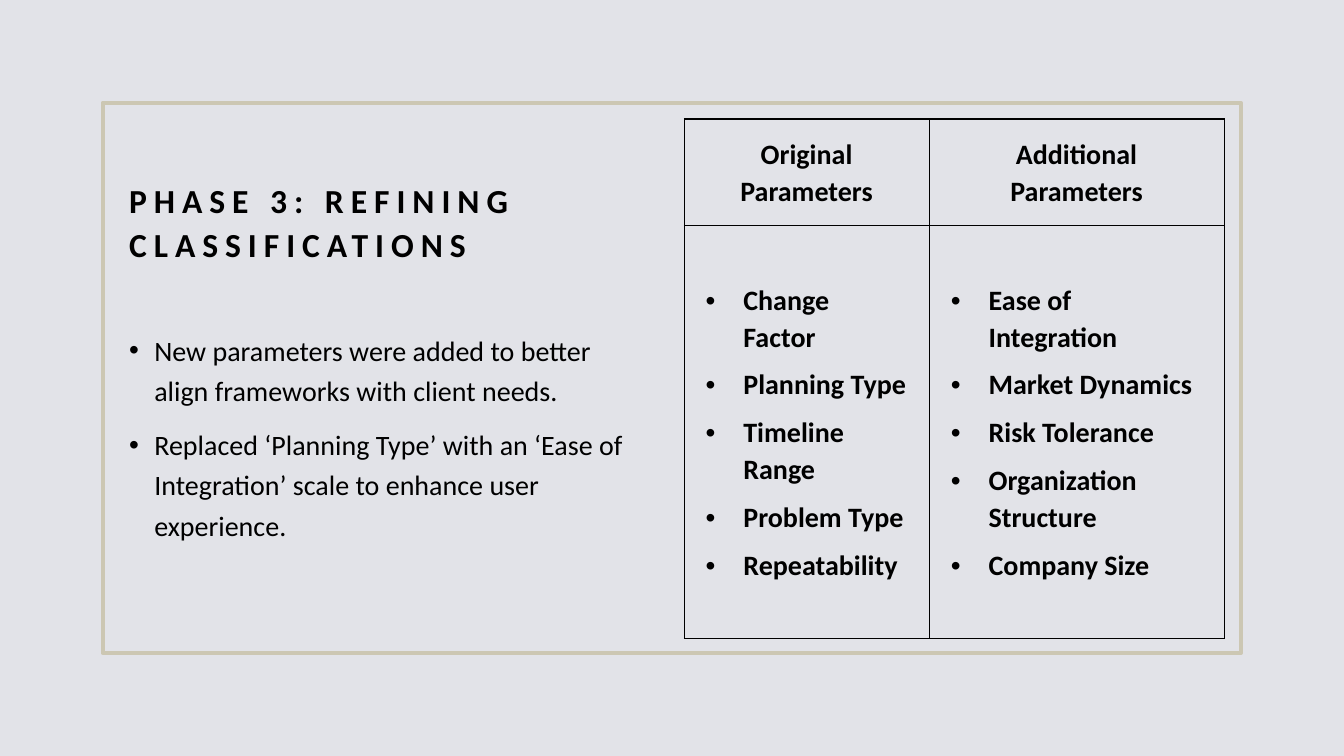
import pptx
import pptx.dml.color
import pptx.enum.shapes
import pptx.enum.text
import pptx.oxml
import pptx.oxml.ns
import pptx.util

Pt = pptx.util.Pt
RGB = pptx.dml.color.RGBColor
ALIGN = pptx.enum.text.PP_ALIGN
ANCHOR = pptx.enum.text.MSO_ANCHOR

# Content
TITLE = "PHASE 3: REFINING CLASSIFICATIONS"
POINTS = [
    "New parameters were added to better align frameworks with client needs.",
    "Replaced ‘Planning Type’ with an ‘Ease of Integration’ scale to enhance user experience.",
]
PARAMETERS = {
    "Original Parameters": ["Change Factor", "Planning Type", "Timeline Range",
                            "Problem Type", "Repeatability"],
    "Additional Parameters": ["Ease of Integration", "Market Dynamics", "Risk Tolerance",
                              "Organization Structure", "Company Size"],
}

# Style and layout, in points
FONT = "Calibri"
BLACK = RGB(0x00, 0x00, 0x00)
BACKGROUND = RGB(0xE2, 0xE3, 0xE8)
FRAME = RGB(0xCC, 0xC7, 0xB3)
FRAME_BOX = (73.4, 73.4, 812.9, 393.1)
TITLE_BOX = (85, 121, 386, 71.5)
BODY_BOX = (85, 193, 386, 263.5)
TABLE_LEFT, TABLE_TOP = 488.9, 85
COL_WIDTHS = (175.2, 210.5)
ROW_HEIGHTS = (76.3, 294.5)
CELL_INSETS = (15.1, 11.5, 15.8, 11.5)


def place(sp, box):
    sp.left, sp.top, sp.width, sp.height = map(Pt, box)


def write(p, text, size, bold=False):
    r = p.add_run()
    r.text = text
    r.font.name, r.font.size, r.font.bold = FONT, Pt(size), bold
    r.font.color.rgb = BLACK
    return r


def add_bullet(p, indent):
    pPr = p._p.get_or_add_pPr()
    pPr.set("marL", str(Pt(indent)))
    pPr.set("indent", str(-Pt(indent)))
    for tag, key, value in (("buFont", "typeface", "Arial"), ("buChar", "char", "•")):
        pptx.oxml.ns.qn("a:" + tag)
        bullet = pPr.makeelement(pptx.oxml.ns.qn("a:" + tag), {key: value})
        pPr.append(bullet)


def paragraphs(tf, count):
    return [tf.paragraphs[0]] + [tf.add_paragraph() for _ in range(count - 1)]


def add_borders(cell):
    tcPr = cell._tc.get_or_add_tcPr()
    for i, side in enumerate(("lnL", "lnR", "lnT", "lnB")):
        tcPr.insert(i, pptx.oxml.parse_xml(
            f'<a:{side} {pptx.oxml.ns.nsdecls("a")} w="{Pt(1)}">'
            f'<a:solidFill><a:srgbClr val="{BLACK}"/></a:solidFill></a:{side}>'))


def fill_cell(cell, lines, bulleted):
    cell.fill.background()
    add_borders(cell)
    cell.vertical_anchor = ANCHOR.MIDDLE
    (cell.margin_left, cell.margin_top,
     cell.margin_right, cell.margin_bottom) = map(Pt, CELL_INSETS)
    for p, line in zip(paragraphs(cell.text_frame, len(lines)), lines):
        if bulleted:
            add_bullet(p, 27)
        else:
            p.alignment = ALIGN.CENTER
        p.line_spacing, p.space_after = 1.07, Pt(8)
        write(p, line, 20, True)


prs = pptx.Presentation()
prs.slide_width, prs.slide_height = Pt(960), Pt(540)
s = prs.slides.add_slide(prs.slide_layouts[1])
s.background.fill.solid()
s.background.fill.fore_color.rgb = BACKGROUND

# Frame, behind everything else
sp = s.shapes.add_shape(pptx.enum.shapes.MSO_SHAPE.RECTANGLE, *map(Pt, FRAME_BOX))
sp.shadow.inherit = False
sp.fill.background()
sp.line.color.rgb, sp.line.width = FRAME, Pt(3)
s.shapes._spTree.insert(2, sp._element)

# Title and body placeholders
title, body = s.shapes.title, s.placeholders[1]
for sp, box, anchor in ((title, TITLE_BOX, ANCHOR.BOTTOM), (body, BODY_BOX, ANCHOR.MIDDLE)):
    place(sp, box)
    sp.text_frame.word_wrap = True
    sp.text_frame.auto_size = pptx.enum.text.MSO_AUTO_SIZE.NONE
    sp.text_frame.vertical_anchor = anchor

p = title.text_frame.paragraphs[0]
p.alignment, p.line_spacing = ALIGN.LEFT, 1.1
r = write(p, TITLE, 24, True)
r.font._element.set("spc", "500")

body.text_frame.margin_bottom = Pt(33)
for i, (p, point) in enumerate(zip(paragraphs(body.text_frame, len(POINTS)), POINTS)):
    add_bullet(p, 18)
    p.line_spacing, p.space_before = 1.2, Pt(10 if i else 0)
    write(p, point, 20)

# Parameter table
table = s.shapes.add_table(2, len(PARAMETERS), Pt(TABLE_LEFT), Pt(TABLE_TOP),
                           Pt(sum(COL_WIDTHS)), Pt(sum(ROW_HEIGHTS))).table
table.first_row = table.horz_banding = False
for row, height in zip(table.rows, ROW_HEIGHTS):
    row.height = Pt(height)
for c, (heading, items) in enumerate(PARAMETERS.items()):
    table.columns[c].width = Pt(COL_WIDTHS[c])
    fill_cell(table.cell(0, c), [heading], False)
    fill_cell(table.cell(1, c), items, True)

prs.save("out.pptx")
